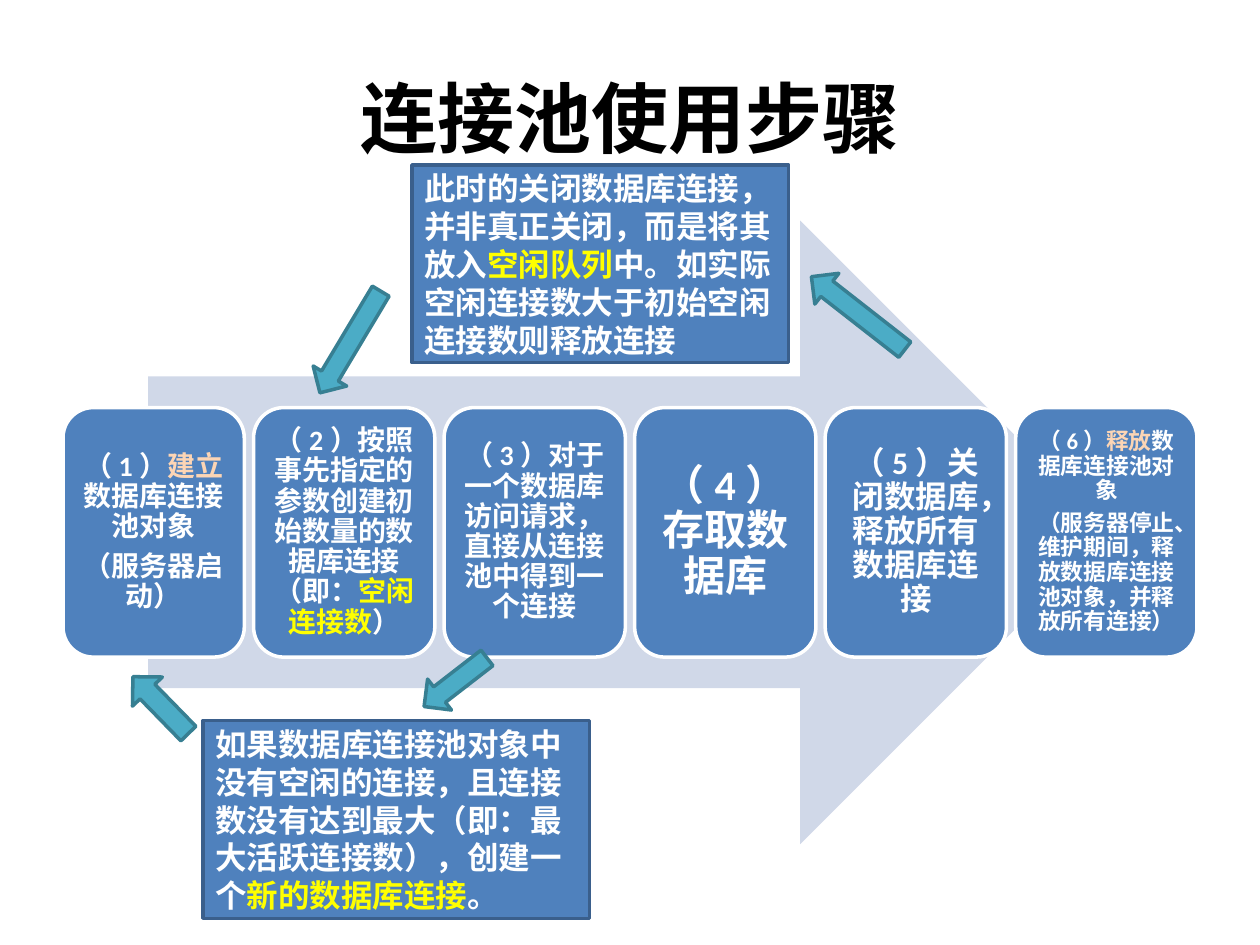
from pptx import Presentation
from pptx.dml.color import RGBColor
from pptx.enum.shapes import MSO_SHAPE
from pptx.enum.text import MSO_ANCHOR, PP_ALIGN
from pptx.oxml.ns import qn
from pptx.util import Pt
from lxml.etree import SubElement

COLORS = {
    "black": "000000", "white": "FFFFFF", "blue": "4F81BD", "edge": "3A5F8C",
    "pale": "D0D8E8", "teal": "4BACC6", "rim": "377F92",
    "peach": "FCD5B5", "yellow": "FFFF00",
}

# Each step: text size, inset, paragraphs of (text, colour) runs
STEPS = [
    (16, 5, [[("（1）", "white"), ("建立", "peach"), ("数据库连接池对象", "white")],
             [("（服务器启动）", "white")]]),
    (16, 5, [[("（2）按照事先指定的参数创建初始数量的数据库连接（即：", "white"),
              ("空闲连接数", "yellow"), ("）", "white")]]),
    (16, 5, [[("（3）对于一个数据库访问请求，直接从连接池中得到一个连接", "white")]]),
    (24, 7.2, [[("（4）存取数据库", "white")]]),
    (18, 5, [[("（5）关闭数据库，释放所有数据库连接", "white")]]),
    (13, 3.6, [[("（6）", "white"), ("释放", "peach"), ("数据库连接池对象", "white")],
               [("（服务器停止、维护期间，释放数据库连接池对象，并释放所有连接）", "white")]]),
]

NOTES = [
    ((116, 411.8, 221, 113),
     [("如果数据库连接池对象中没有空闲的连接，且连接数没有达到最大"
       "（即：最大活跃连接数），创建一个", "white"),
      ("新的数据库连接", "yellow"), ("。", "white")]),
    ((235.4, 94.3, 215.3, 113),
     [("此时的关闭数据库连接，并非真正关闭，而是将其放入", "white"),
      ("空闲队列", "yellow"),
      ("中。如实际空闲连接数大于初始空闲连接数则释放连接", "white")]),
]

# Box and turn in degrees
ARROWS = [
    ((237.6, 378.7, 45.4, 22.3), 142.3),
    ((69.1, 391, 45.4, 23.8), 225.7),
    ((456.5, 167.8, 67.7, 22.3), 218),
    ((166.3, 184.3, 67.7, 22.3), 120.9),
]


def rgb(name):
    return RGBColor.from_string(COLORS[name])


class Deck:
    def __init__(self):
        self.file = Presentation()
        self.file.slide_width, self.file.slide_height = Pt(720), Pt(540)
        self.slide = self.file.slides.add_slide(self.file.slide_layouts[5])

    def run(self, para, text, color, size, font="Calibri"):
        run = para.add_run()
        run.text = text
        run.font.name, run.font.size, run.font.bold = font, Pt(size), True
        run.font.color.rgb = rgb(color)
        return run

    def title(self, text, box):
        shape = self.slide.shapes.title
        shape.left, shape.top, shape.width, shape.height = map(Pt, box)
        shape.text_frame.vertical_anchor = MSO_ANCHOR.MIDDLE
        para = shape.text_frame.paragraphs[0]
        para.alignment = PP_ALIGN.CENTER
        font = "Noto Sans CJK JP"
        run = self.run(para, text, "black", 44, font)
        SubElement(run.font._element, qn("a:ea")).set("typeface", font)

    def shape(self, kind, box, fill, line=None, turn=0):
        shape = self.slide.shapes.add_shape(kind, *map(Pt, box))
        shape.shadow.inherit = False
        shape.rotation = turn
        shape.fill.solid()
        shape.fill.fore_color.rgb = rgb(fill)
        if line:
            shape.line.color.rgb = rgb(line)
            shape.line.width = Pt(2)
        else:
            shape.line.fill.background()
        return shape

    def text(self, shape, paras, size, align):
        frame = shape.text_frame
        frame.word_wrap = True
        frame.vertical_anchor = MSO_ANCHOR.MIDDLE
        for i, runs in enumerate(paras):
            para = frame.add_paragraph() if i else frame.paragraphs[0]
            para.alignment = align
            for words, color in runs:
                self.run(para, words, color, size)
        return frame

    def step(self, box, size, inset, paras):
        shape = self.shape(MSO_SHAPE.ROUNDED_RECTANGLE, box, "blue", "white")
        frame = self.text(shape, paras, size, PP_ALIGN.CENTER)
        frame.margin_left = frame.margin_right = Pt(inset)
        frame.margin_top = frame.margin_bottom = Pt(inset)
        for para in frame.paragraphs:
            para.line_spacing = 0.9
            para.space_after = Pt(round(0.35 * size, 1))

    def note(self, box, runs):
        shape = self.shape(MSO_SHAPE.RECTANGLE, box, "blue", "edge")
        self.text(shape, [runs], 18, PP_ALIGN.LEFT)

    def arrow(self, box, turn):
        self.shape(MSO_SHAPE.RIGHT_ARROW, box, "teal", "rim", turn)


def main():
    deck = Deck()
    deck.title("连接池使用步骤", (36, 21.6, 648, 90))
    deck.shape(MSO_SHAPE.RIGHT_ARROW, (84.6, 126, 550.8, 356.4), "pale")

    left, width, total = 36, 103.6, 648
    pitch = (total - width) / (len(STEPS) - 1)
    for i, (size, inset, paras) in enumerate(STEPS):
        deck.step((left + i * pitch, 232.9, width, 142.6), size, inset, paras)

    for box, runs in NOTES:
        deck.note(box, runs)
    for box, turn in ARROWS:
        deck.arrow(box, turn)
    deck.file.save("out.pptx")


if __name__ == "__main__":
    main()
